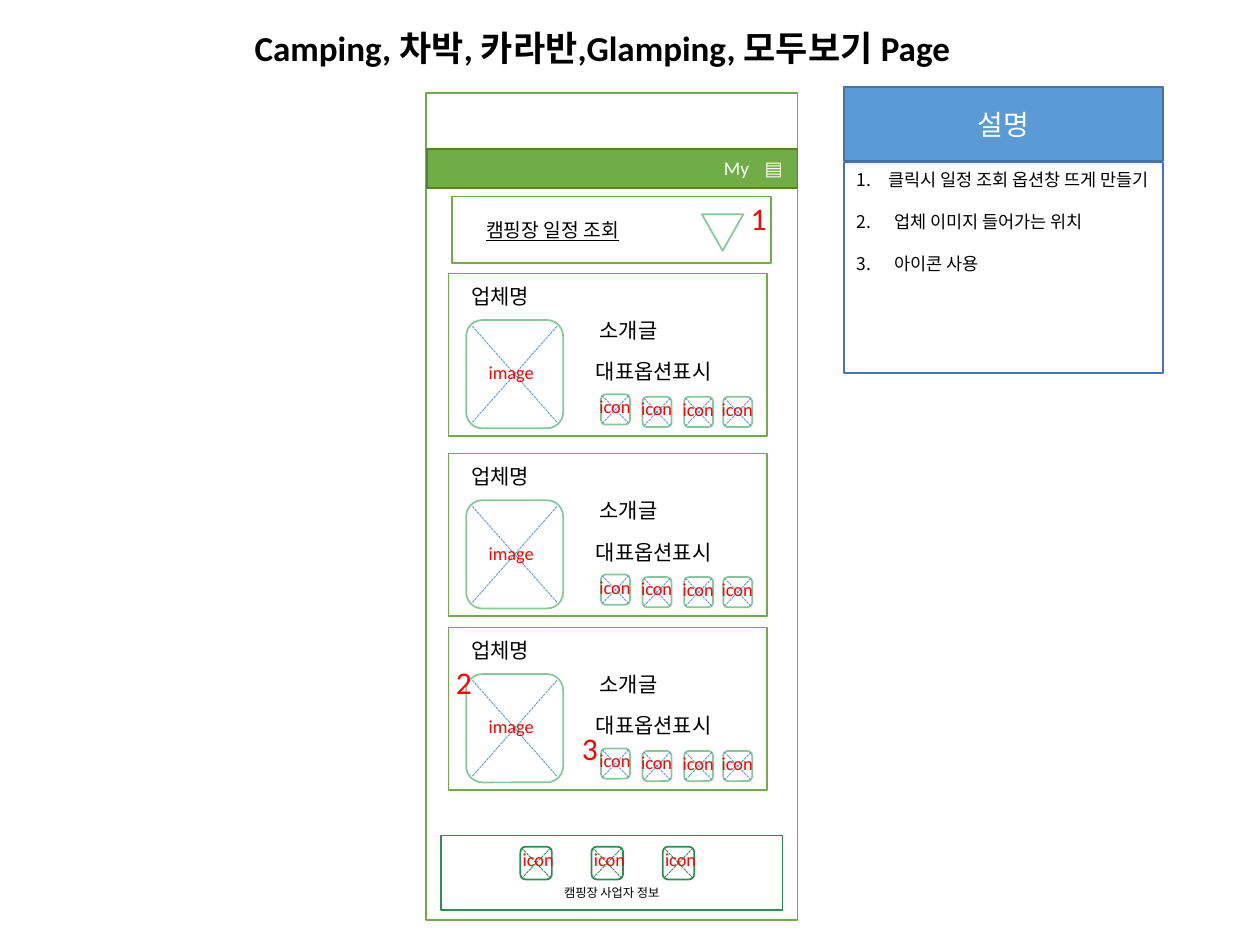
from lxml import etree
from pptx import Presentation
from pptx.dml.color import RGBColor
from pptx.enum.dml import MSO_LINE
from pptx.enum.shapes import MSO_CONNECTOR, MSO_SHAPE
from pptx.enum.text import MSO_ANCHOR, MSO_AUTO_SIZE, PP_ALIGN
from pptx.oxml.ns import qn
from pptx.util import Inches, Pt

BLACK = RGBColor(0x00, 0x00, 0x00)
WHITE = RGBColor(0xFF, 0xFF, 0xFF)
RED = RGBColor(0xFF, 0x00, 0x00)
GREEN = RGBColor(0x70, 0xAD, 0x47)
DARK_GREEN = RGBColor(0x53, 0x80, 0x35)
MINT = RGBColor(0x85, 0xC8, 0x9A)
FOREST = RGBColor(0x2A, 0x8E, 0x57)
BLUE = RGBColor(0x5B, 0x9B, 0xD5)
DARK_BLUE = RGBColor(0x43, 0x73, 0x9E)
PANEL_BLUE = RGBColor(0x44, 0x72, 0xC4)

FONT = "Calibri"
NUMBER_STYLE = {"size": Pt(18), "color": RED}
LABEL_STYLE = {"size": Pt(10.5), "color": RED}
CARD_STYLE = {"size": Pt(12), "color": BLACK}
BAR_STYLE = {"size": Pt(11), "color": WHITE}


def inches(box):
    return [Inches(value) for value in box]


def format_para(para, size, color, align=PP_ALIGN.LEFT, **extra):
    para.alignment = align
    for name, value in {"name": FONT, "size": size, **extra}.items():
        setattr(para.font, name, value)
    para.font.color.rgb = color


def write(shape, text, style, anchor=MSO_ANCHOR.TOP):
    frame = shape.text_frame
    frame.word_wrap = True
    frame.auto_size = MSO_AUTO_SIZE.NONE
    frame.vertical_anchor = anchor
    frame.text = text
    format_para(frame.paragraphs[0], **style)


def add_label(shapes, box, text, style):
    write(shapes.add_textbox(*inches(box)), text, style)


def add_box(shapes, box, line, fill=WHITE, kind=MSO_SHAPE.RECTANGLE):
    shape = shapes.add_shape(kind, *inches(box))
    shape.shadow.inherit = False
    if fill is None:
        shape.fill.background()
    else:
        shape.fill.solid()
        shape.fill.fore_color.rgb = fill
    shape.line.color.rgb = line
    shape.line.width = Pt(1)
    return shape


def add_dashed_line(shapes, ends, color):
    line = shapes.add_connector(MSO_CONNECTOR.STRAIGHT, *inches(ends))
    line.line.color.rgb = color
    line.line.width = Pt(0.5)
    line.line.dash_style = MSO_LINE.SQUARE_DOT
    etree.SubElement(line._element.spPr, qn("a:effectLst"))


def add_crossed_box(shapes, box, inset, label_box, text, outline, cross):
    """Rounded placeholder with two dashed diagonals and a red label."""
    add_box(shapes, box, outline, kind=MSO_SHAPE.ROUNDED_RECTANGLE)
    left, top, width, height = box
    right, bottom = left + width - inset, top + height - inset
    left, top = left + inset, top + inset
    add_dashed_line(shapes, (right, bottom, left, top), cross)
    add_dashed_line(shapes, (right, top, left, bottom), cross)
    add_label(shapes, label_box, text, LABEL_STYLE)


def add_title(page, box):
    title = page.shapes.title
    title.left, title.top, title.width, title.height = inches(box)
    write(title, "Camping, 차박, 카라반,Glamping, 모두보기 Page",
          {"size": Pt(20), "color": BLACK, "bold": True})


def add_description(shapes, box):
    left, top, width, height = box
    header = 0.59
    # Numbered notes
    body = add_box(shapes, (left, top + header + 0.01, width, height - header - 0.01), PANEL_BLUE)
    frame = body.text_frame
    frame.word_wrap = True
    frame.vertical_anchor = MSO_ANCHOR.TOP
    notes = [("클릭시 일정 조회 옵션창 뜨게 만들기", 0.25),
             ("업체 이미지 들어가는 위치", 0.3),
             ("아이콘 사용", 0.3)]
    for index, (note, indent) in enumerate(notes):
        para = frame.add_paragraph() if index else frame.paragraphs[0]
        para.text = note
        props = para._p.get_or_add_pPr()
        props.set("marL", str(Inches(indent)))
        props.set("indent", str(-Inches(indent)))
        etree.SubElement(props, qn("a:buFont"), typeface=FONT)
        etree.SubElement(props, qn("a:buAutoNum"), type="arabicPeriod")
        format_para(para, Pt(10), BLACK)
        if index:
            para.space_before = Pt(12)
    # Header
    head = add_box(shapes, (left, top, width, header), DARK_BLUE, BLUE)
    write(head, "설명", {"size": Pt(16), "color": WHITE, "align": PP_ALIGN.CENTER},
          MSO_ANCHOR.MIDDLE)


def add_phone(shapes, box):
    left, top, width, height = box
    add_box(shapes, box, GREEN)
    # Menu bar
    add_box(shapes, (left + 0.01, top + 0.44, width - 0.01, 0.31), DARK_GREEN, GREEN)
    for text, offset, item_width in (("My", 2.23, 0.47), ("▤", 2.59, 0.32)):
        item = add_box(shapes, (left + offset, top + 0.46, item_width, 0.26), GREEN, None)
        write(item, text, {**BAR_STYLE, "align": PP_ALIGN.CENTER}, MSO_ANCHOR.MIDDLE)


def add_search(shapes, box):
    left, top, width, height = box
    add_box(shapes, box, GREEN)
    add_label(shapes, (left + 0.17, top + 0.12, 1.35, 0.29), "캠핑장 일정 조회",
              {"size": Pt(11), "color": BLACK, "underline": True})
    arrow = add_box(shapes, (left + 1.98, top + 0.14, 0.33, 0.29), MINT,
                    kind=MSO_SHAPE.ISOSCELES_TRIANGLE)
    arrow.rotation = 180
    add_label(shapes, (left + 2.27, top - 0.03, 0.33, 0.4), "1", NUMBER_STYLE)


def add_card(shapes, box, numbered=False):
    left, top, width, height = box
    add_box(shapes, box, GREEN)
    for text, x, y, text_width in (("업체명", 0.08, 0.03, 0.71),
                                   ("소개글", 1.1, 0.3, 0.71),
                                   ("대표옵션표시", 1.07, 0.63, 1.21)):
        add_label(shapes, (left + x, top + y, text_width, 0.3), text, CARD_STYLE)
    add_crossed_box(shapes, (left + 0.14, top + 0.37, 0.77, 0.86), 0.05,
                    (left + 0.22, top + 0.65, 1.02, 0.38), "image", MINT, BLUE)
    # Option icons
    for x, y, label_y in ((1.21, 0.96, 0.92), (1.54, 0.98, 0.93),
                          (1.87, 0.98, 0.94), (2.18, 0.98, 0.94)):
        add_crossed_box(shapes, (left + x, top + y, 0.23, 0.24), 0.01,
                        (left + x - 0.11, top + label_y, 0.46, 0.28), "icon", MINT, BLUE)
    if numbered:
        add_label(shapes, (left - 0.04, top + 0.23, 0.33, 0.4), "2", NUMBER_STYLE)
        add_label(shapes, (left + 0.96, top + 0.76, 0.33, 0.4), "3", NUMBER_STYLE)


def add_footer(shapes, box):
    left, top, width, height = box
    base = add_box(shapes, box, FOREST)
    write(base, "캠핑장 사업자 정보",
          {"size": Pt(7), "color": BLACK, "align": PP_ALIGN.CENTER}, MSO_ANCHOR.BOTTOM)
    base.text_frame.margin_bottom = Inches(0.08)
    for index in range(3):
        x = left + 0.63 + index * 0.565
        add_crossed_box(shapes, (x, top + 0.09, 0.25, 0.26), 0.01,
                        (x - 0.08, top + 0.05, 0.49, 0.3), "icon", FOREST, FOREST)


def main():
    deck = Presentation()
    deck.slide_width, deck.slide_height = Inches(10), Inches(7.5)
    page = deck.slides.add_slide(deck.slide_layouts[5])
    shapes = page.shapes

    add_title(page, (1.92, 0.16, 5.96, 0.44))
    add_description(shapes, (6.7, 0.69, 2.53, 2.27))
    add_phone(shapes, (3.38, 0.74, 2.95, 6.56))
    add_search(shapes, (3.59, 1.56, 2.53, 0.53))
    for top in (2.17, 3.6, 4.98):
        add_card(shapes.add_group_shape().shapes, (3.56, top, 2.53, 1.29), top == 4.98)
    add_footer(shapes.add_group_shape().shapes, (3.5, 6.63, 2.71, 0.59))

    deck.save("out.pptx")


if __name__ == "__main__":
    main()
